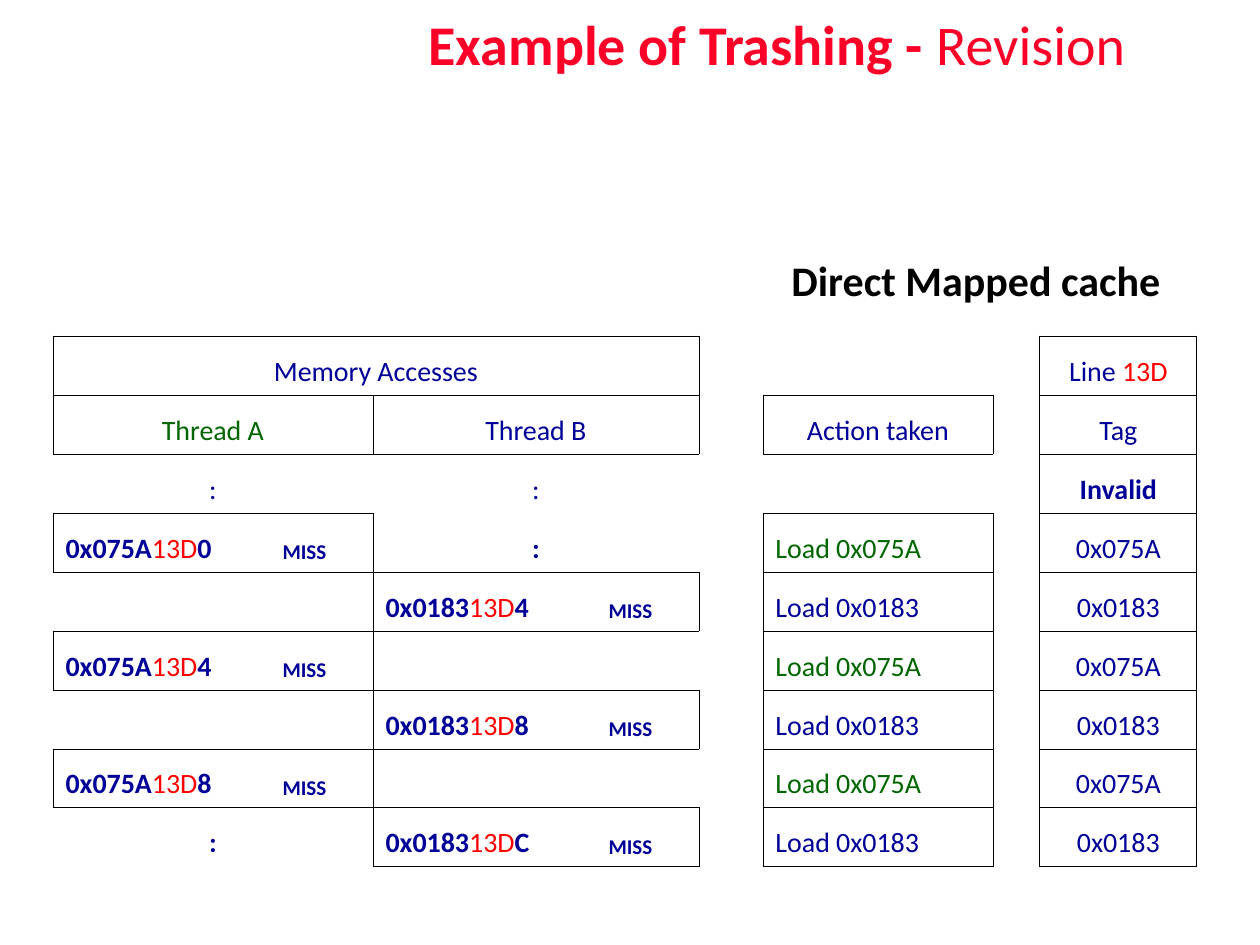
from lxml import etree
from pptx import Presentation
from pptx import util as u
from pptx.dml.color import RGBColor
from pptx.enum import text
from pptx.oxml.ns import qn

PX = 914400 // 126
FONT = "Calibri"
COLORS = {"title": "FC0128", "navy": "000099", "red": "FF0000",
          "green": "006600", "black": "000000"}
CENTER, LEFT = text.PP_ALIGN.CENTER, text.PP_ALIGN.LEFT

# Each span is (wording, colour, bold).
TITLE = [("Example of Trashing - ", "title", True), ("Revision", "title", False)]
SUBTITLE = [("Direct Mapped cache", "black", True)]

TABLE_LEFT, TABLE_TOP, ROW_HEIGHT = 53, 336, 59
COLUMNS = [217, 103, 223, 103, 64, 230, 47, 157]
ACTION, TAG = 5, 7
LINE = "13D"
THREADS = {"A": {"tag": "0x075A", "column": 0, "load": "green"},
           "B": {"tag": "0x0183", "column": 2, "load": "navy"}}
ACCESSES = [("A", "0"), ("B", "4"), ("A", "4"), ("B", "8"), ("A", "8"), ("B", "C")]

# Each label is (row, first column, last column, spans, boxed).
LABELS = [
    (0, 0, 3, [("Memory Accesses", "navy", False)], True),
    (0, TAG, TAG, [("Line ", "navy", False), (LINE, "red", False)], True),
    (1, 0, 1, [("Thread A", "green", False)], True),
    (1, 2, 3, [("Thread B", "navy", False)], True),
    (1, ACTION, ACTION, [("Action taken", "navy", False)], True),
    (1, TAG, TAG, [("Tag", "navy", False)], True),
    (2, 0, 1, [(":", "navy", False)], False),
    (2, 2, 3, [(":", "navy", False)], False),
    (2, TAG, TAG, [("Invalid", "navy", True)], True),
    (3, 2, 3, [(":", "navy", True)], False),
    (8, 0, 1, [(":", "navy", True)], False),
]
FIRST_ACCESS = 3
ROWS = FIRST_ACCESS + len(ACCESSES)


def write(para, spans, size, align=CENTER, spacing=None):
    """Fill a paragraph with coloured spans."""
    para.alignment = align
    para.line_spacing = spacing
    para.font.name, para.font.size = FONT, u.Pt(size)
    for wording, color, bold in spans:
        span = para.add_run()
        span.text = wording
        span.font.bold = bold
        span.font.color.rgb = RGBColor.from_string(COLORS[color])


def add_heading(page, box, spans, size, anchor, spacing=None):
    """Add a centred text box; box is left, top, width, height."""
    frame = page.shapes.add_textbox(*(n * PX for n in box)).text_frame
    frame.word_wrap = True
    frame.vertical_anchor = anchor
    write(frame.paragraphs[0], spans, size, spacing=spacing)


def fill_cell(table, row, column, spans, size=16, align=CENTER):
    """Write one cell; the memory access columns have wider line spacing."""
    para = table.cell(row, column).text_frame.paragraphs[0]
    write(para, spans, size, align, 1.25 if column < 4 else None)


def set_border(cell, side, shown):
    """Draw or hide one side of a cell."""
    line = etree.SubElement(cell._tc.get_or_add_tcPr(), qn("a:ln" + side))
    line.set("w", str(u.Pt(0.45)))
    if shown:
        fill = etree.SubElement(line, qn("a:solidFill"))
        etree.SubElement(fill, qn("a:srgbClr")).set("val", COLORS["black"])
    else:
        etree.SubElement(line, qn("a:noFill"))


def add_accesses(table):
    """Write the access rows and return their boxes."""
    boxes = []
    for row, (name, offset) in enumerate(ACCESSES, FIRST_ACCESS):
        thread = THREADS[name]
        tag, column = thread["tag"], thread["column"]
        address = [(tag, "navy", True), (LINE, "red", False), (offset, "navy", True)]
        fill_cell(table, row, column, address, align=LEFT)
        fill_cell(table, row, column + 1, [("MISS", "navy", True)], 12, LEFT)
        fill_cell(table, row, ACTION, [("Load " + tag, thread["load"], False)], align=LEFT)
        fill_cell(table, row, TAG, [(tag, "navy", False)])
        boxes += [(row, column, column + 1), (row, ACTION, ACTION), (row, TAG, TAG)]
    return boxes


def add_labels(table):
    """Write the fixed labels and return the boxes of those that have one."""
    for row, first, last, spans, _ in LABELS:
        if first < last:
            table.cell(row, first).merge(table.cell(row, last))
        fill_cell(table, row, first, spans)
    return [label[:3] for label in LABELS if label[4]]


def draw_boxes(table, boxes):
    """Turn boxes into borders that neighbouring cells share."""
    across, down = set(), set()
    for row, first, last in boxes:
        across |= {(r, c) for r in (row, row + 1) for c in range(first, last + 1)}
        down |= {(row, first), (row, last + 1)}
    for row in range(ROWS):
        for column in range(len(COLUMNS)):
            cell = table.cell(row, column)
            set_border(cell, "L", (row, column) in down)
            set_border(cell, "R", (row, column + 1) in down)
            set_border(cell, "T", (row, column) in across)
            set_border(cell, "B", (row + 1, column) in across)
            cell.fill.background()
            cell.vertical_anchor = text.MSO_ANCHOR.BOTTOM


def add_cache_table(page):
    """Add the table of memory accesses, actions and tags."""
    size = (TABLE_LEFT, TABLE_TOP, sum(COLUMNS), ROWS * ROW_HEIGHT)
    table = page.shapes.add_table(ROWS, len(COLUMNS), *(n * PX for n in size)).table
    table.first_row = table.horz_banding = False
    for column, width in zip(table.columns, COLUMNS):
        column.width = width * PX
    for row in table.rows:
        row.height = ROW_HEIGHT * PX
    draw_boxes(table, add_labels(table) + add_accesses(table))


deck = Presentation()
deck.slide_width, deck.slide_height = u.Inches(10), u.Inches(7.5)
page = deck.slides.add_slide(deck.slide_layouts[6])
add_heading(page, (294, 0, 966, 94), TITLE, 32, text.MSO_ANCHOR.MIDDLE, 0.9)
add_cache_table(page)
add_heading(page, (766, 248, 420, 63), SUBTITLE, 24, text.MSO_ANCHOR.TOP)
deck.save("out.pptx")
